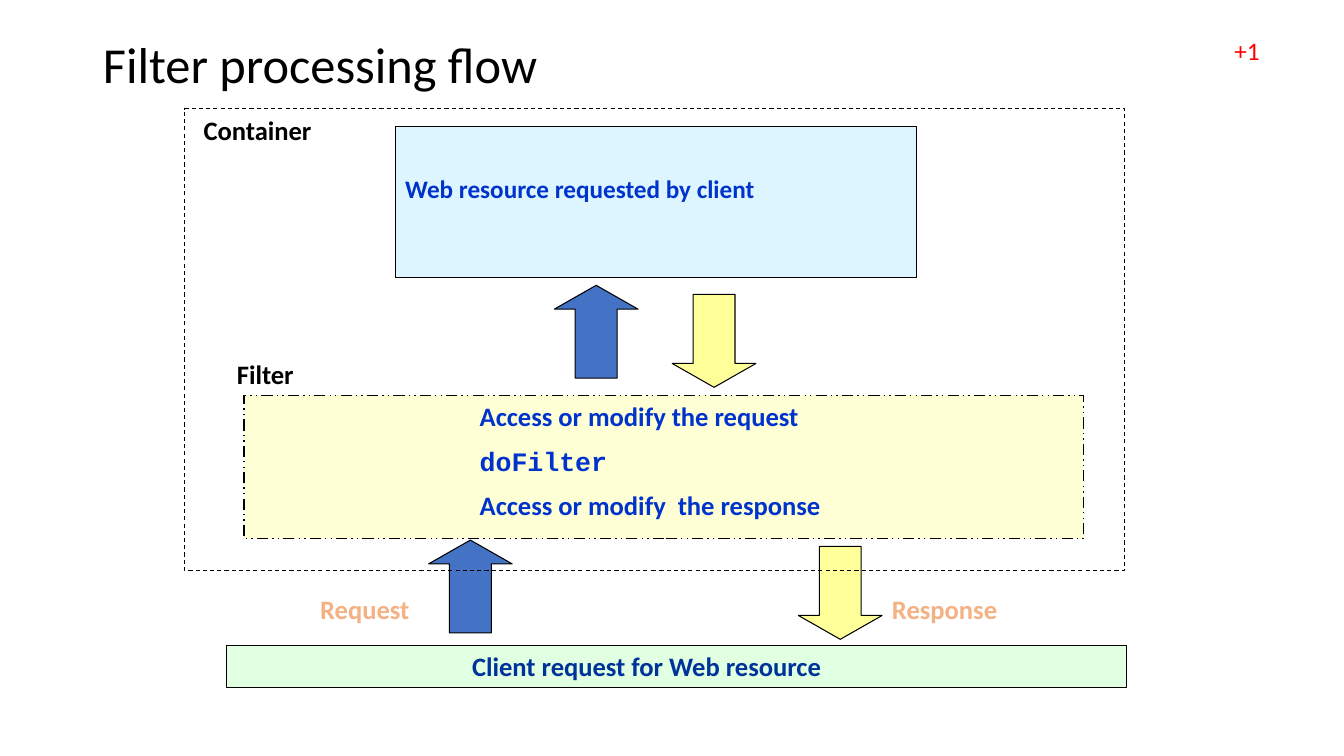
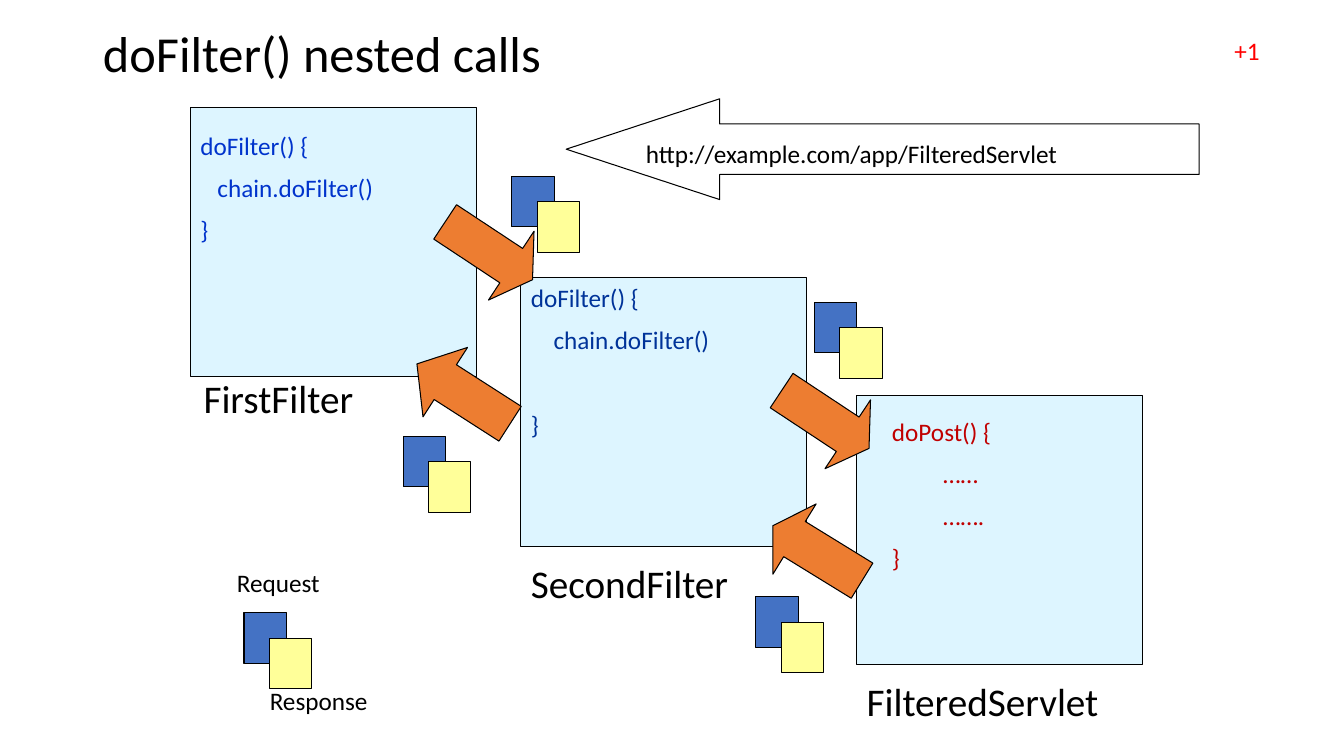
from dataclasses import dataclass
from typing import Optional

from lxml import etree
from pptx import Presentation
from pptx import util as u
from pptx.dml.color import RGBColor
from pptx.enum import dml, shapes, text
from pptx.oxml.ns import qn


# Theme: colours and type sizes
@dataclass(frozen=True)
class Theme:
    font: str = "Calibri"
    code_font: str = "Courier New"
    black: str = "000000"
    badge: str = "FF0000"
    resource: str = "DDF5FF"
    filter_fill: str = "FFFFCC"
    client: str = "E1FFE1"
    request: str = "4472C4"
    response: str = "FFFF99"
    call: str = "ED7D31"
    flow_label: str = "F4B183"
    blue: str = "0033CC"
    navy: str = "003399"
    red: str = "C00000"
    title_size: float = 36
    name_size: float = 28
    label_size: float = 19
    body_size: float = 18
    paragraph_gap: float = 0.47  # share of the type size


THEME = Theme()
PRESET = shapes.MSO_SHAPE


# Element descriptions, lengths in centimetres
@dataclass(frozen=True)
class Box:
    left: float
    top: float
    width: float
    height: float


@dataclass(frozen=True)
class Line:
    words: str
    indent: float = 0
    font: str = THEME.font
    blank_above: int = 0


@dataclass(frozen=True)
class Label:
    box: Box
    words: str
    color: str = THEME.black
    size: float = THEME.label_size
    bold: bool = True


@dataclass(frozen=True)
class Arrow:
    box: Box
    preset: PRESET
    fill: Optional[str]
    rotation: float
    head: float


@dataclass(frozen=True)
class CodeBox:
    frame: Box
    code_box: Box
    lines: tuple[Line, ...]
    color: str
    name: str
    name_box: Box


# Drawing functions
def place(shape, box: Box) -> None:
    shape.left, shape.top = u.Cm(box.left), u.Cm(box.top)
    shape.width, shape.height = u.Cm(box.width), u.Cm(box.height)


def format_run(run, *, font: str, size: float, color: str, bold: bool) -> None:
    run.font.name = font
    run.font.size = u.Pt(size)
    run.font.bold = bold
    run.font.color.rgb = RGBColor.from_string(color)


def add_text(slide, box: Box, *lines: Line, color: str = THEME.black,
             size: float = THEME.body_size, bold: bool = False,
             wrap: bool = True, align=text.PP_ALIGN.LEFT):
    shape = slide.shapes.add_textbox(0, 0, 0, 0)
    place(shape, box)
    frame = shape.text_frame
    frame.word_wrap = wrap
    frame.auto_size = text.MSO_AUTO_SIZE.SHAPE_TO_FIT_TEXT
    gap = size * THEME.paragraph_gap
    for index, line in enumerate(lines):
        paragraph = frame.add_paragraph() if index else frame.paragraphs[0]
        paragraph.alignment = align
        if index:
            blank = line.blank_above * (size * 1.22 + gap)
            paragraph.space_before = u.Pt(gap + blank)
        if line.indent:
            properties = paragraph._p.get_or_add_pPr()
            properties.set("marL", str(u.Cm(line.indent)))
        run = paragraph.add_run()
        run.text = line.words
        format_run(run, font=line.font, size=size, color=color, bold=bold)
    return shape


def add_label(slide, label: Label) -> None:
    add_text(slide, label.box, Line(label.words), color=label.color,
             size=label.size, bold=label.bold)


def add_block(slide, box: Box, fill: Optional[str], *, preset=PRESET.RECTANGLE,
              line_width: float = 0.75, dash=None, opacity: int = 100):
    shape = slide.shapes.add_shape(preset, 0, 0, 0, 0)
    place(shape, box)
    shape.shadow.inherit = False
    if fill:
        shape.fill.solid()
        shape.fill.fore_color.rgb = RGBColor.from_string(fill)
    else:
        shape.fill.background()
    if opacity < 100:
        color = shape._element.spPr.find(qn("a:solidFill"))[0]
        etree.SubElement(color, qn("a:alpha")).set("val", str(opacity * 1000))
    shape.line.color.rgb = RGBColor.from_string(THEME.black)
    shape.line.width = u.Pt(line_width)
    if dash:
        shape.line.dash_style = dash
    return shape


def add_arrow(slide, arrow: Arrow) -> None:
    shape = add_block(slide, arrow.box, arrow.fill, preset=arrow.preset)
    shape.adjustments[0] = 0.5
    shape.adjustments[1] = arrow.head
    shape.rotation = arrow.rotation


def add_message_pair(slide, left: float, top: float) -> None:
    for index, fill in enumerate((THEME.request, THEME.response)):
        shift = index * 0.64
        add_block(slide, Box(left + shift, top + shift, 1.07, 1.27), fill)


def add_code_box(slide, item: CodeBox) -> None:
    add_block(slide, item.frame, THEME.resource)
    add_text(slide, item.code_box, *item.lines, color=item.color)
    add_text(slide, item.name_box, Line(item.name), size=THEME.name_size)


def start_slide(presentation, title: str, box: Box):
    slide = presentation.slides.add_slide(presentation.slide_layouts[5])
    add_text(slide, Box(30.86, 0.76, 1.17, 1.02), Line("+1"),
             color=THEME.badge, wrap=False)
    place(slide.shapes.title, box)
    frame = slide.shapes.title.text_frame
    frame.auto_size = text.MSO_AUTO_SIZE.NONE
    frame.vertical_anchor = text.MSO_ANCHOR.MIDDLE
    paragraph = frame.paragraphs[0]
    paragraph.alignment = text.PP_ALIGN.LEFT
    paragraph.line_spacing = 0.9
    run = paragraph.add_run()
    run.text = title
    format_run(run, font=THEME.font, size=THEME.title_size,
               color=THEME.black, bold=False)
    return slide


# Slide 1: path of a request through container and filter
def build_processing_flow(presentation) -> None:
    slide = start_slide(presentation, "Filter processing flow",
                        Box(2.34, 1.02, 26.04, 1.37))
    add_block(slide, Box(9.96, 3.18, 13.13, 3.81), THEME.resource)
    add_label(slide, Label(Box(9.96, 4.24, 13.13, 1.02),
                           "Web resource requested by client",
                           THEME.blue, THEME.body_size))
    add_block(slide, Box(6.15, 9.96, 21.16, 3.61), THEME.filter_fill,
              line_width=1, dash=dml.MSO_LINE.DASH_DOT_DOT, opacity=80)
    add_text(slide, Box(11.84, 9.96, 9.45, 3.51),
             Line("Access or modify the request"),
             Line("doFilter", font=THEME.code_font),
             Line("Access or modify  the response"),
             color=THEME.blue, size=THEME.label_size, bold=True)
    add_block(slide, Box(5.72, 16.26, 22.66, 1.07), THEME.client)
    add_text(slide, Box(7.62, 16.26, 17.35, 1.07),
             Line("Client request for Web resource"), color=THEME.navy,
             size=THEME.label_size, bold=True, align=text.PP_ALIGN.CENTER)

    for left, top, fill, rotation in (
        (10.8, 13.61, THEME.request, 0),
        (13.97, 7.19, THEME.request, 0),
        (20.12, 13.77, THEME.response, 180),
        (16.94, 7.42, THEME.response, 180),
    ):
        add_arrow(slide, Arrow(Box(left, top, 2.11, 2.34), PRESET.UP_ARROW,
                               fill, rotation, 0.285))

    for label in (
        Label(Box(7.82, 14.81, 6.78, 1.07), "Request", THEME.flow_label),
        Label(Box(22.23, 14.81, 6.78, 1.07), "Response", THEME.flow_label),
        Label(Box(5.72, 8.89, 3.61, 1.07), "Filter"),
        Label(Box(4.88, 2.74, 3.61, 1.07), "Container"),
    ):
        add_label(slide, label)
    add_block(slide, Box(4.65, 2.74, 23.7, 11.63), None,
              dash=dml.MSO_LINE.DASH)


# Slide 2: chain of nested calls
def build_nested_calls(presentation) -> None:
    slide = start_slide(presentation, "doFilter() nested calls",
                        Box(2.34, 0.79, 29.21, 1.27))
    for item in (
        CodeBox(Box(4.8, 2.72, 7.2, 6.78), Box(4.8, 3.15, 6.78, 4.5),
                (Line("doFilter() {"), Line("chain.doFilter()", indent=0.43),
                 Line("}")),
                THEME.blue, "FirstFilter", Box(4.88, 9.32, 5.94, 1.45)),
        CodeBox(Box(13.13, 6.99, 7.2, 6.78), Box(13.13, 6.99, 7.19, 4.5),
                (Line("doFilter() {"), Line("chain.doFilter()", indent=0.57),
                 Line("}", blank_above=1)),
                THEME.navy, "SecondFilter", Box(13.13, 13.97, 5.92, 1.45)),
        CodeBox(Box(21.59, 9.96, 7.2, 6.78), Box(22.23, 10.36, 5.51, 4.5),
                (Line("doPost() {"), Line("……", indent=1.29),
                 Line("…….", indent=1.29), Line("}")),
                THEME.red, "FilteredServlet", Box(21.59, 16.94, 7.19, 1.45)),
    ):
        add_code_box(slide, item)

    # Incoming address
    add_arrow(slide, Arrow(Box(14.27, 2.49, 15.95, 2.54), PRESET.LEFT_ARROW,
                           None, 0, 1.523))
    add_text(slide, Box(16.03, 3.35, 12.4, 1.02),
             Line("http://example.com/app/FilteredServlet"))

    # Calls and returns
    for left, top, height, rotation, head in (
        (19.76, 9.25, 2.64, 303.5, 0.309),
        (11.28, 5, 2.64, 303.5, 0.309),
        (19.56, 12.62, 2.64, 121.6, 0.308),
        (10.64, 8.53, 2.79, 122.7, 0.408),
    ):
        add_arrow(slide, Arrow(Box(left, top, 2.08, height),
                               PRESET.DOWN_ARROW, THEME.call, rotation, head))

    # Request and response objects, the last pair being the legend
    for left, top in ((10.16, 11), (12.9, 4.45), (19.05, 15.04),
                      (20.52, 7.62), (6.15, 15.44)):
        add_message_pair(slide, left, top)
    for words, left, top in (("Request", 5.72, 14.17),
                             ("Response", 6.55, 17.15)):
        add_label(slide, Label(Box(left, top, 3.81, 1.02), words,
                               size=THEME.body_size, bold=False))


def main() -> None:
    presentation = Presentation()
    presentation.slide_width = u.Cm(33.87)
    presentation.slide_height = u.Cm(19.05)
    build_processing_flow(presentation)
    build_nested_calls(presentation)
    presentation.save("out.pptx")


main()
